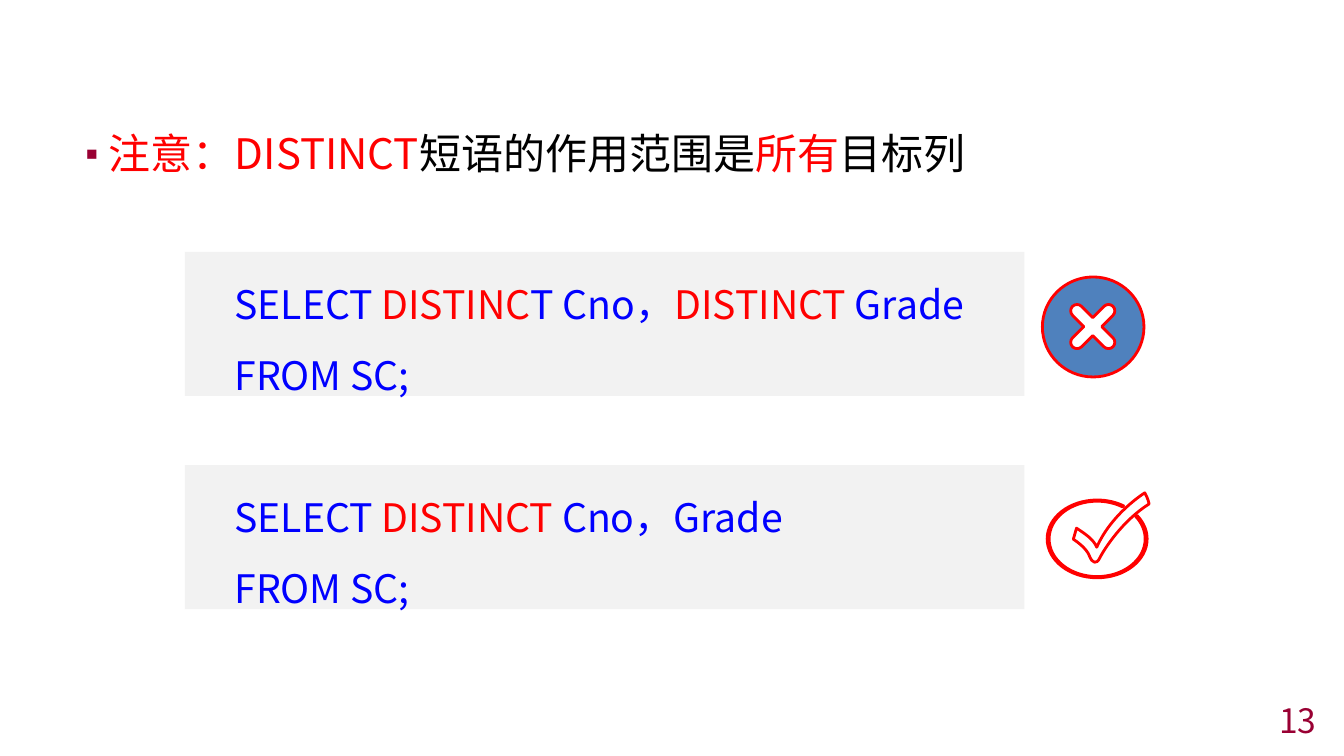
"""Builds a slide on the scope of DISTINCT in SQL, with a wrong and a right query."""
from math import cos, radians, sin, tan

from lxml import etree
from pptx import Presentation
from pptx.dml.color import RGBColor
from pptx.enum.shapes import MSO_SHAPE
from pptx.enum.text import MSO_ANCHOR, PP_ALIGN
from pptx.oxml.ns import qn
from pptx.util import Cm, Pt

RECTANGLE = MSO_SHAPE.RECTANGLE
TOP, MIDDLE = MSO_ANCHOR.TOP, MSO_ANCHOR.MIDDLE
LEFT, RIGHT = PP_ALIGN.LEFT, PP_ALIGN.RIGHT

THEME = {
    "font": "Noto Sans CJK SC",
    "note_size": 30, "query_size": 28, "page_size": 24, "mark_line": 2,
    "red": "FF0000", "black": "000000", "blue": "0000FF",
    "maroon": "990033", "panel": "F2F2F2", "disc": "4F81BD",
}

NOTE = [("注意：DISTINCT", "red"), ("短语的作用范围是", "black"),
        ("所有", "red"), ("目标列", "black")]
QUERIES = [
    [[("SELECT ", "blue"), ("DISTINC", "red"), ("T Cno，", "blue"),
      ("DISTINCT", "red"), (" Grade", "blue")],
     [("FROM SC;", "blue")]],
    [[("SELECT ", "blue"), ("DISTINCT", "red"), (" Cno，Grade", "blue")],
     [("FROM SC;", "blue")]],
]
PAGE = [("13", "maroon")]

QUERY_LEFT, QUERY_TOP, QUERY_PITCH = 4.66, 6.35, 5.37
QUERY_WIDTH, QUERY_HEIGHT = 21.16, 3.63

DISC = {"center": (27.55, 8.24), "radii": (1.28, 1.26),
        "angles": (0, 90, 180, 270, 360)}
CROSS = {"center": (27.54, 8.23), "reach": 0.56, "half_width": 0.16}
RING = {"center": (27.65, 13.58), "outer": (1.26, 0.98), "inner": (1.21, 0.95),
        "angles": (-37, 0, 90, 180, 270, 302)}
TICK = [
    [(27.13, 13.31)],
    [(27.05, 13.59)],
    [(27.05, 13.59), (27.38, 13.79), (27.46, 14.02)],
    [(27.53, 14.20), (27.64, 14.22), (27.71, 14.07)],
    [(27.81, 13.87), (28.27, 13.13), (28.96, 12.70)],
    [(28.93, 12.55), (28.85, 12.42), (28.85, 12.42)],
    [(28.85, 12.42), (28.02, 12.93), (27.64, 13.79)],
    [(27.56, 13.59), (27.33, 13.44), (27.13, 13.31)],
]


def color(name):
    return RGBColor.from_string(THEME[name])


def write(paragraph, pieces, size):
    for text, tint in pieces:
        run = paragraph.add_run()
        run.text = text
        run.font.size = Pt(size)
        run.font.color.rgb = color(tint)
        run.font.name = THEME["font"]
        east_asian = etree.SubElement(run.font._element, qn("a:ea"))
        east_asian.set("typeface", THEME["font"])


def add_text_area(slide, left, top, width, height, anchor):
    area = slide.shapes.add_textbox(Cm(left), Cm(top), Cm(width), Cm(height))
    area.text_frame.word_wrap = True
    area.text_frame.vertical_anchor = anchor
    return area.text_frame.paragraphs[0]


def add_note(slide):
    paragraph = add_text_area(slide, 1.65, 2.97, 30.53, 15.19, TOP)
    properties = paragraph._p.get_or_add_pPr()
    properties.set("marL", str(Cm(0.74)))
    properties.set("indent", str(Cm(-0.74)))
    bullet_color = etree.SubElement(properties, qn("a:buClr"))
    etree.SubElement(bullet_color, qn("a:srgbClr")).set("val", THEME["maroon"])
    etree.SubElement(properties, qn("a:buSzPct")).set("val", "80000")
    etree.SubElement(properties, qn("a:buFont")).set("typeface", THEME["font"])
    etree.SubElement(properties, qn("a:buChar")).set("char", "▪")
    paragraph.line_spacing = 1.1
    write(paragraph, NOTE, THEME["note_size"])


def add_query(slide, top, lines):
    panel = slide.shapes.add_shape(RECTANGLE, Cm(QUERY_LEFT), Cm(top),
                                   Cm(QUERY_WIDTH), Cm(QUERY_HEIGHT))
    panel.shadow.inherit = False
    panel.fill.solid()
    panel.fill.fore_color.rgb = color("panel")
    panel.line.fill.background()
    frame = panel.text_frame
    frame.word_wrap = True
    frame.vertical_anchor = TOP
    for index, pieces in enumerate(lines):
        paragraph = frame.add_paragraph() if index else frame.paragraphs[0]
        paragraph.alignment = LEFT
        paragraph.line_spacing = 1.5
        paragraph._p.get_or_add_pPr().set("marL", str(Cm(1)))
        write(paragraph, pieces, THEME["query_size"])


def polar(center, radii, angle, pull=0):
    across, down = cos(radians(angle)), sin(radians(angle))
    return (center[0] + radii[0] * (across - pull * down),
            center[1] + radii[1] * (down + pull * across))


def arc(center, radii, angles):
    segments = [[polar(center, radii, angles[0])]]
    for first, last in zip(angles, angles[1:]):
        pull = 4 / 3 * tan(radians(last - first) / 4)
        segments.append([polar(center, radii, first, pull),
                         polar(center, radii, last, -pull),
                         polar(center, radii, last)])
    return segments


def cross_outline(center, reach, half_width):
    notch = (half_width * 2 ** 0.5,) * 2
    segments = [[polar(center, notch, 0)]]
    for angle in range(45, 405, 90):
        tip = polar(center, (reach, reach), angle)
        segments += arc(tip, (half_width, half_width),
                        (angle - 90, angle, angle + 90))
        segments.append([polar(center, notch, angle + 45)])
    return segments


def ring_outline(center, outer, inner, angles):
    return arc(center, inner, angles) + arc(center, outer, angles[::-1])


def bend(mark, segments):
    for line, segment in zip(list(mark._element.iter(qn("a:lnTo"))), segments):
        if len(segment) == 3:
            curve = etree.Element(qn("a:cubicBezTo"))
            for x, y in segment:
                point = etree.SubElement(curve, qn("a:pt"))
                point.set("x", str(Cm(x) - mark.left))
                point.set("y", str(Cm(y) - mark.top))
            line.getparent().replace(line, curve)


def add_mark(slide, outlines, fill=None):
    builder = None
    for outline in outlines:
        start, *rest = [(Cm(x), Cm(y)) for *_, (x, y) in outline]
        if builder is None:
            builder = slide.shapes.build_freeform(*start)
        else:
            builder.move_to(*start)
        builder.add_line_segments(rest, close=True)
    mark = builder.convert_to_shape()
    bend(mark, [segment for outline in outlines for segment in outline[1:]])
    mark.shadow.inherit = False
    if fill:
        mark.fill.solid()
        mark.fill.fore_color.rgb = color(fill)
    else:
        mark.fill.background()
    mark.line.color.rgb = color("red")
    mark.line.width = Pt(THEME["mark_line"])


def main():
    deck = Presentation()
    deck.slide_width, deck.slide_height = Cm(33.87), Cm(19.05)
    slide = deck.slides.add_slide(deck.slide_layouts[6])
    add_note(slide)
    page = add_text_area(slide, 26.24, 17.75, 7.19, 0.79, MIDDLE)
    page.alignment = RIGHT
    write(page, PAGE, THEME["page_size"])
    for index, lines in enumerate(QUERIES):
        add_query(slide, QUERY_TOP + index * QUERY_PITCH, lines)
    add_mark(slide, [TICK, ring_outline(**RING)])
    add_mark(slide, [cross_outline(**CROSS), arc(**DISC)], "disc")
    deck.save("out.pptx")


if __name__ == "__main__":
    main()
